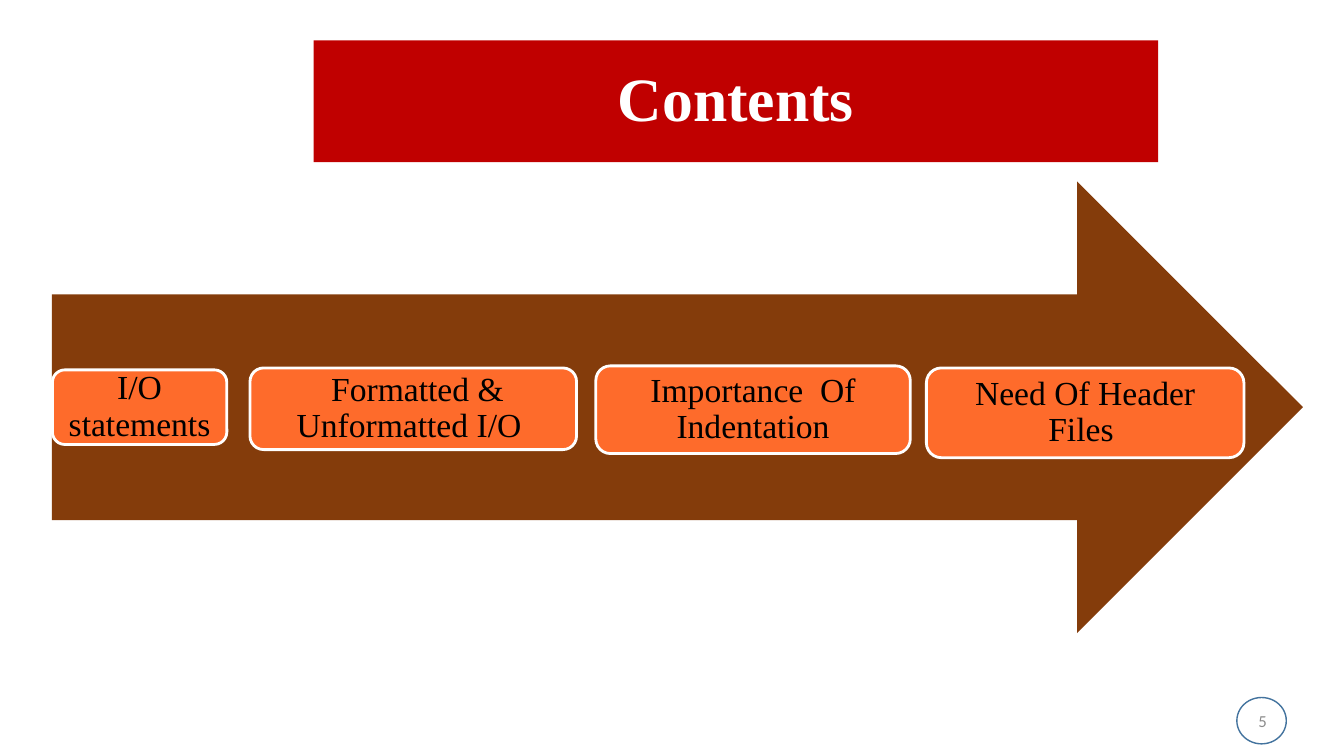
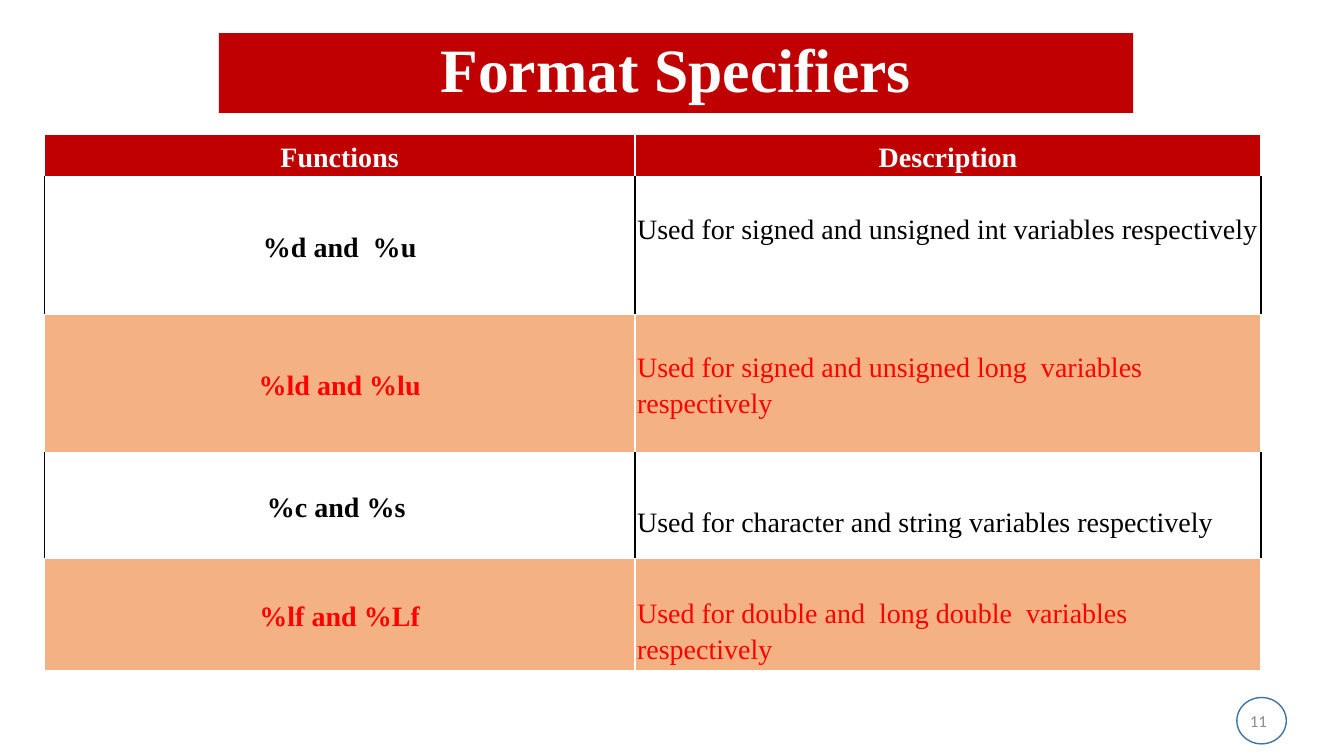
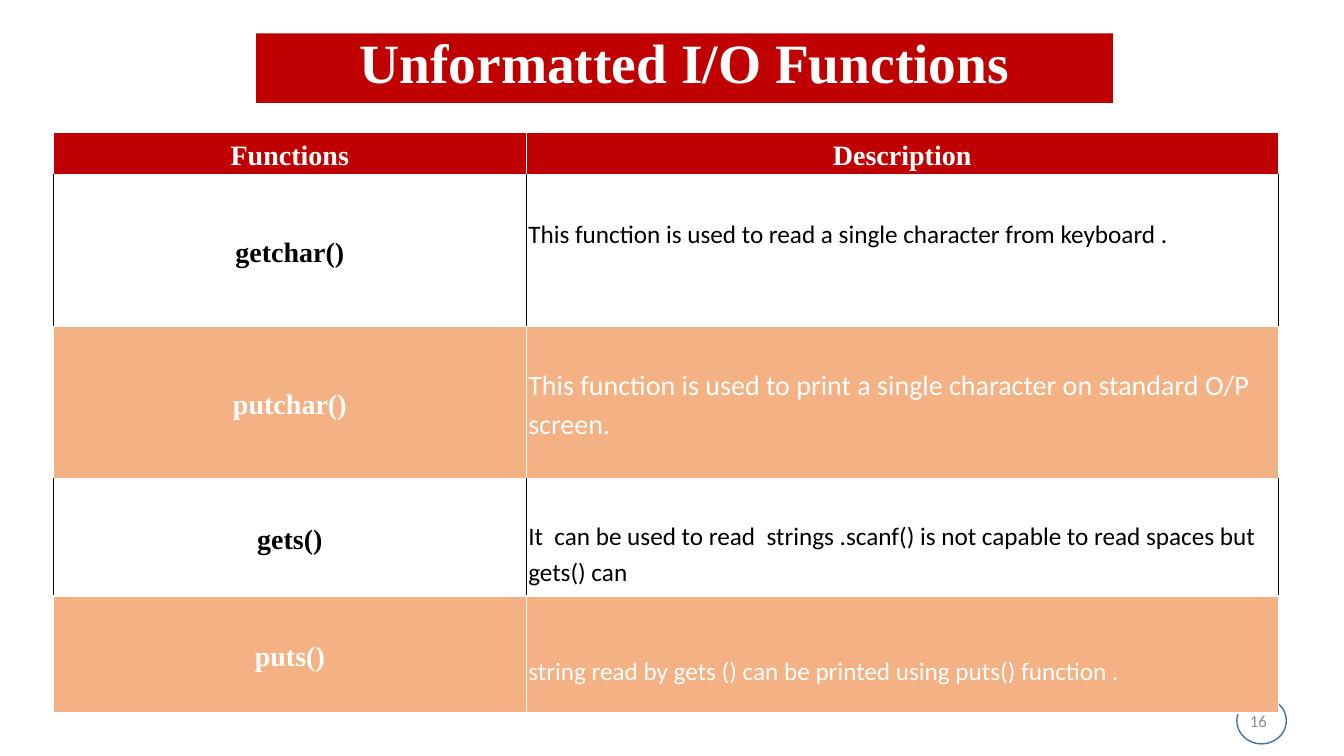
from dataclasses import dataclass

from lxml.etree import SubElement
from pptx import Presentation
from pptx.dml.color import RGBColor
from pptx.enum.shapes import MSO_SHAPE
from pptx.enum.text import MSO_ANCHOR, PP_ALIGN
from pptx.oxml.ns import qn
from pptx.util import Inches, Pt

SLIDE_WIDTH, SLIDE_HEIGHT = Inches(13.333), Inches(7.5)
RED, WHITE, BLACK, BRIGHT_RED = "C00000", "FFFFFF", "000000", "FF0000"
BROWN, ORANGE, PEACH = "843C0B", "FE6B2B", "F4B183"
GRAY, BLUE = "8C8C8C", "43739E"
SERIF, SANS = "Times New Roman", "Calibri"


@dataclass(frozen=True)
class Area:
    """Position and size as percentages of the slide."""
    left: float
    top: float
    width: float
    height: float

    def lengths(self):
        return (across(self.left), down(self.top),
                across(self.width), down(self.height))


@dataclass(frozen=True)
class Title:
    text: str
    area: Area
    size: float = 44
    top_inset: float = 0.05


@dataclass(frozen=True)
class Step:
    text: str
    area: Area


@dataclass(frozen=True)
class Entry:
    name: str
    description: str
    shift: float = 0
    size: float = 20


@dataclass(frozen=True)
class Reference:
    left: float
    top: float
    columns: tuple[float, ...]
    rows: tuple[float, ...]
    entries: tuple[Entry, ...]
    accent: str
    font: str


NUMBER_AREA = Area(72.5, 92.67, 22.5, 5.33)
RING_AREA = Area(92.03, 92.27, 3.68, 6.13)
ARROW_AREA = Area(3.87, 24, 93.08, 59.73)
RAISED, LOWERED = -0.36, 0.3

STEPS = (
    Step("I/O statements", Area(3.9, 48.93, 12.98, 9.87)),
    Step(" Formatted & Unformatted I/O ", Area(18.6, 48.67, 24.3, 10.8)),
    Step("Importance  Of Indentation", Area(44.33, 48.4, 23.4, 11.6)),
    Step("Need Of Header Files ", Area(68.93, 48.67, 23.63, 11.87)),
)

SPECIFIERS = Reference(
    3.3, 17.73, (43.95, 46.58), (5.2, 18.27, 18.27, 14, 14),
    (
        Entry("%d and  %u",
              "Used for signed and unsigned int variables respectively ", RAISED),
        Entry("%ld and %lu",
              "Used for signed and unsigned long  variables respectively "),
        Entry("%c and %s ",
              "Used for character and string variables respectively", LOWERED),
        Entry("%lf and %Lf",
              "Used for double and  long double  variables respectively", LOWERED),
    ),
    BRIGHT_RED, SERIF,
)

UNFORMATTED = Reference(
    3.98, 17.47, (35.18, 55.95), (5.47, 20.13, 20.13, 15.47, 15.47),
    (
        Entry("getchar()",
              "This function is used to read a single character from keyboard .",
              RAISED, 18),
        Entry("putchar()",
              "This function is used to print a single character on standard O/P screen."),
        Entry("gets()",
              "It  can be used to read  strings .scanf() is not capable to read "
              "spaces but gets() can", LOWERED, 18),
        Entry("puts()",
              "string read by gets () can be printed using puts() function .",
              LOWERED, 18),
    ),
    WHITE, SANS,
)


def across(percent: float) -> int:
    return round(SLIDE_WIDTH * percent / 100)


def down(percent: float) -> int:
    return round(SLIDE_HEIGHT * percent / 100)


def colour(value: str) -> RGBColor:
    return RGBColor.from_string(value)


def write_text(frame, text: str, *, size: float, color: str, font: str = SERIF,
               bold: bool = False, align=PP_ALIGN.CENTER, spacing: float = 1.0):
    frame.word_wrap = True
    paragraph = frame.paragraphs[0]
    paragraph.alignment = align
    paragraph.line_spacing = spacing
    run = paragraph.add_run()
    run.text = text
    run.font.size = Pt(size)
    run.font.name = font
    run.font.bold = bold
    run.font.color.rgb = colour(color)


def add_shape(slide, kind, area: Area, fill: str | None = None,
              line: str | None = None, line_width: float = 1):
    shape = slide.shapes.add_shape(kind, *area.lengths())
    shape.shadow.inherit = False
    if fill:
        shape.fill.solid()
        shape.fill.fore_color.rgb = colour(fill)
    else:
        shape.fill.background()
    if line:
        shape.line.color.rgb = colour(line)
        shape.line.width = Pt(line_width)
    else:
        shape.line.fill.background()
    shape.text_frame.vertical_anchor = MSO_ANCHOR.MIDDLE
    return shape


def add_numbered_slide(presentation, number: int):
    slide = presentation.slides.add_slide(presentation.slide_layouts[6])
    box = slide.shapes.add_textbox(*NUMBER_AREA.lengths())
    box.text_frame.vertical_anchor = MSO_ANCHOR.MIDDLE
    write_text(box.text_frame, str(number), size=12, color=GRAY, font=SANS,
               align=PP_ALIGN.RIGHT)
    add_shape(slide, MSO_SHAPE.OVAL, RING_AREA, line=BLUE)
    return slide


def add_title(slide, title: Title):
    band = add_shape(slide, MSO_SHAPE.RECTANGLE, title.area, RED)
    band.text_frame.margin_top = Inches(title.top_inset)
    write_text(band.text_frame, title.text, size=title.size, color=WHITE,
               bold=True, spacing=0.9)


def add_steps(slide, steps: tuple[Step, ...]):
    add_shape(slide, MSO_SHAPE.RIGHT_ARROW, ARROW_AREA, BROWN)
    for step in steps:
        shape = add_shape(slide, MSO_SHAPE.ROUNDED_RECTANGLE, step.area,
                          ORANGE, WHITE, 2)
        frame = shape.text_frame
        frame.margin_left = frame.margin_right = Inches(0.1)
        write_text(frame, step.text, size=24, color=BLACK, spacing=0.9)


def set_borders(cell, sides: str):
    properties = cell._tc.get_or_add_tcPr()
    borders = (("a:lnL", sides), ("a:lnR", sides), ("a:lnT", WHITE), ("a:lnB", WHITE))
    for index, (tag, color) in enumerate(borders):
        line = SubElement(properties, qn(tag), w=str(Pt(1)))
        fill = SubElement(line, qn("a:solidFill"))
        SubElement(fill, qn("a:srgbClr"), val=color)
        properties.insert(index, line)


def fill_cell(cell, text: str, fill: str, *, sides: str = WHITE,
              shift: float = 0, **text_format):
    cell.margin_left = cell.margin_right = Inches(0.02)
    cell.margin_top = Inches(0.02 + max(shift, 0))
    cell.margin_bottom = Inches(0.02 + max(-shift, 0))
    cell.vertical_anchor = MSO_ANCHOR.MIDDLE
    cell.fill.solid()
    cell.fill.fore_color.rgb = colour(fill)
    set_borders(cell, sides)
    write_text(cell.text_frame, text, spacing=1.15, **text_format)


def add_reference(slide, reference: Reference):
    area = Area(reference.left, reference.top,
                sum(reference.columns), sum(reference.rows))
    table = slide.shapes.add_table(len(reference.rows), len(reference.columns),
                                   *area.lengths()).table
    table.horz_banding = False
    for column, width in zip(table.columns, reference.columns):
        column.width = across(width)
    for row, height in zip(table.rows, reference.rows):
        row.height = down(height)
    for column, heading in enumerate(("Functions", "Description")):
        fill_cell(table.cell(0, column), heading, RED, size=20, color=WHITE, bold=True)
    for row, entry in enumerate(reference.entries, 1):
        plain = row % 2 == 1
        fill = WHITE if plain else PEACH
        sides = BLACK if plain else WHITE
        color = BLACK if plain else reference.accent
        fill_cell(table.cell(row, 0), entry.name, fill, sides=sides,
                  size=20, color=color, bold=True)
        fill_cell(table.cell(row, 1), entry.description, fill, sides=sides,
                  shift=entry.shift, size=entry.size, color=color,
                  font=reference.font, align=PP_ALIGN.LEFT)


def main():
    presentation = Presentation()
    presentation.slide_width, presentation.slide_height = SLIDE_WIDTH, SLIDE_HEIGHT

    contents = add_numbered_slide(presentation, 5)
    add_steps(contents, STEPS)
    add_title(contents, Title("Contents", Area(23.33, 5.33, 62.85, 16.13)))

    specifiers = add_numbered_slide(presentation, 11)
    add_reference(specifiers, SPECIFIERS)
    add_title(specifiers, Title("Format Specifiers", Area(16.28, 4.4, 68.03, 10.53)))

    unformatted = add_numbered_slide(presentation, 16)
    add_reference(unformatted, UNFORMATTED)
    add_title(unformatted, Title("Unformatted I/O Functions",
                                 Area(19.05, 4.4, 63.75, 9.2), 39.6, 0))

    presentation.save("out.pptx")


if __name__ == "__main__":
    main()
